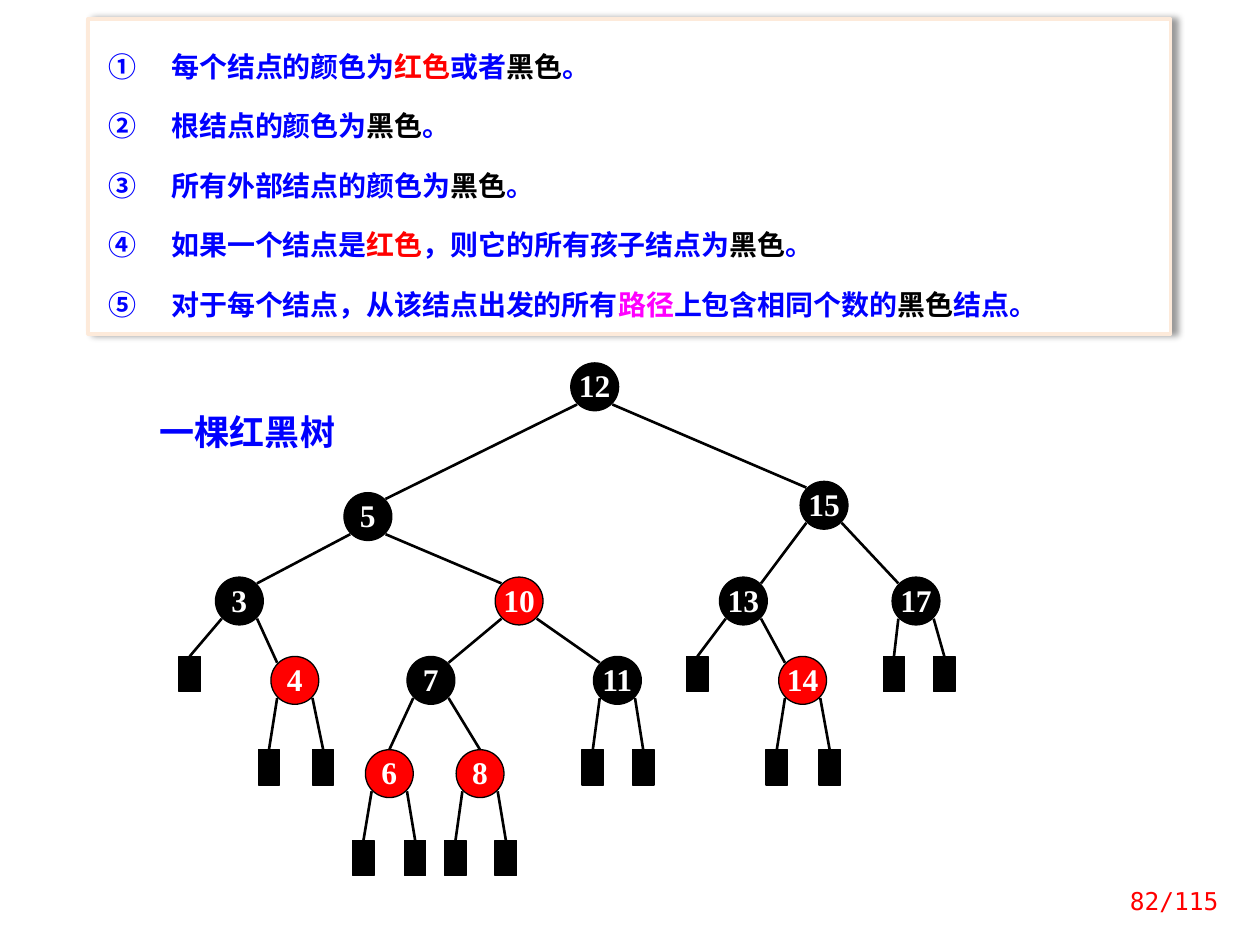
from typing import NamedTuple, Optional

from lxml.etree import SubElement
from pptx import Presentation
from pptx.dml.color import RGBColor
from pptx.enum.shapes import MSO_CONNECTOR as CONN, MSO_SHAPE as SHAPE
from pptx.enum.text import MSO_ANCHOR as ANCHOR, MSO_AUTO_SIZE as AUTO, PP_ALIGN as ALIGN
from pptx.oxml.ns import qn
from pptx.util import Inches, Pt

BLACK, RED, BLUE, PINK, WHITE = "000000", "FF0000", "0000FF", "FF00FF", "FFFFFF"
NODE, LEAF_W, LEAF_H = 0.38, 0.17, 0.28
NEAR, FAR = 0.05, 0.33


class Node(NamedTuple):
    key: int
    left: float
    top: float
    color: str = BLACK
    parent: Optional[int] = None
    centered: bool = False


class Leaf(NamedTuple):
    left: float
    top: float
    parent: int


NODES = [
    Node(12, 4.53, 2.88),
    Node(5, 2.73, 3.91, BLACK, 12),
    Node(3, 1.71, 4.58, BLACK, 5),
    Node(4, 2.15, 5.21, RED, 3),
    Node(10, 3.93, 4.58, RED, 5),
    Node(7, 3.23, 5.21, BLACK, 10),
    Node(6, 2.9, 5.95, RED, 7, True),
    Node(8, 3.62, 5.95, RED, 7, True),
    Node(11, 4.71, 5.21, BLACK, 10),
    Node(15, 6.35, 3.82, BLACK, 12),
    Node(13, 5.71, 4.58, BLACK, 15),
    Node(14, 6.18, 5.21, RED, 13),
    Node(17, 7.08, 4.58, BLACK, 15),
]
LEAVES = [
    Leaf(1.42, 5.21, 3), Leaf(2.05, 5.95, 4), Leaf(2.48, 5.95, 4),
    Leaf(2.8, 6.67, 6), Leaf(3.21, 6.67, 6), Leaf(3.53, 6.67, 8),
    Leaf(3.93, 6.67, 8), Leaf(4.62, 5.95, 11), Leaf(5.02, 5.95, 11),
    Leaf(6.08, 5.95, 14), Leaf(6.5, 5.95, 14), Leaf(7.01, 5.21, 17),
    Leaf(7.41, 5.21, 17), Leaf(5.45, 5.21, 13),
]
RULES = [
    [("每个结点的颜色为", BLUE), ("红色", RED), ("或者", BLUE), ("黑色", BLACK), ("。", BLUE)],
    [("根结点的颜色为", BLUE), ("黑色", BLACK), ("。", BLUE)],
    [("所有外部结点的颜色为", BLUE), ("黑色", BLACK), ("。", BLUE)],
    [("如果一个结点是", BLUE), ("红色", RED), ("，则它的所有孩子结点为", BLUE),
     ("黑色", BLACK), ("。", BLUE)],
    [("对于每个结点，从该结点出发的所有", BLUE), ("路径", PINK),
     ("上包含相同个数的", BLUE), ("黑色", BLACK), ("结点。", BLUE)],
]
NODE_FONT = {"name": "Times New Roman", "size": Pt(18), "bold": True}
RULE_FONT = {"name": "Calibri", "size": Pt(16), "bold": True}
TITLE_FONT = {"name": "Noto Sans CJK SC", "size": Pt(20), "bold": True}
PAGE_FONT = {"name": "DejaVu Sans Mono", "size": Pt(14), "bold": False}


def rgb(value: str) -> RGBColor:
    return RGBColor.from_string(value)


def assign(target, values: dict) -> None:
    for name, value in values.items():
        setattr(target, name, value)


def add_run(p, text: str, color: str, font: dict) -> None:
    r = p.add_run()
    r.text = text
    assign(r.font, font)
    r.font.color.rgb = rgb(color)


def add_box(slide, kind, left: float, top: float, width: float, height: float,
            fill: str, line: str, weight: float):
    sp = slide.shapes.add_shape(kind, Inches(left), Inches(top), Inches(width), Inches(height))
    sp.shadow.inherit = False
    sp.fill.solid()
    sp.fill.fore_color.rgb = rgb(fill)
    sp.line.color.rgb = rgb(line)
    sp.line.width = Pt(weight)
    return sp


def add_text(slide, left: float, top: float, width: float, height: float,
             text: str, color: str, font: dict, frame: dict, para: dict) -> None:
    sp = slide.shapes.add_textbox(Inches(left), Inches(top), Inches(width), Inches(height))
    assign(sp.text_frame, {"word_wrap": True, **frame})
    p = sp.text_frame.paragraphs[0]
    assign(p, para)
    add_run(p, text, color, font)


def add_node(slide, node: Node) -> None:
    sp = add_box(slide, SHAPE.OVAL, node.left, node.top, NODE, NODE, node.color, BLACK, 0.75)
    tf = sp.text_frame
    assign(tf, {"margin_left": 0, "margin_top": 0, "margin_right": 0, "margin_bottom": 0,
                "word_wrap": False})
    p = tf.paragraphs[0]
    assign(p, {"alignment": ALIGN.CENTER, "line_spacing": Pt(20)})
    add_run(p, str(node.key), WHITE, NODE_FONT)


def add_edge(slide, parent: Node, end_x: float, end_y: float) -> None:
    start_x = parent.left + (NEAR if end_x < parent.left + NODE / 2 else FAR)
    line = slide.shapes.add_connector(CONN.STRAIGHT, Inches(start_x), Inches(parent.top + FAR),
                                      Inches(end_x), Inches(end_y))
    line.line.color.rgb = rgb(BLACK)
    line.line.width = Pt(1.5)
    SubElement(line.element.spPr, qn("a:effectLst"))


def add_tree(slide) -> None:
    by_key = {node.key: node for node in NODES}
    for node in NODES:
        add_node(slide, node)
    for node in NODES:
        if node.parent is None:
            continue
        parent = by_key[node.parent]
        if node.centered:
            add_edge(slide, parent, node.left + NODE / 2, node.top)
        else:
            side = FAR if node.left < parent.left else NEAR
            add_edge(slide, parent, node.left + side, node.top + NEAR)
    for leaf in LEAVES:
        add_box(slide, SHAPE.RECTANGLE, leaf.left, leaf.top, LEAF_W, LEAF_H, BLACK, BLACK, 0.75)
        add_edge(slide, by_key[leaf.parent], leaf.left + LEAF_W / 2, leaf.top)


def add_shadow(sp) -> None:
    effects = sp.element.spPr.find(qn("a:effectLst"))
    shadow = SubElement(effects, qn("a:outerShdw"), blurRad=str(Pt(4)), dist=str(Pt(3)),
                        dir="0", algn="l", rotWithShape="0")
    color = SubElement(shadow, qn("a:srgbClr"), val=BLACK)
    SubElement(color, qn("a:alpha"), val="40000")


def add_rules(slide) -> None:
    sp = add_box(slide, SHAPE.RECTANGLE, 0.7, 0.15, 8.59, 2.5, WHITE, "FDEADA", 2)
    add_shadow(sp)
    tf = sp.text_frame
    assign(tf, {"margin_left": Inches(0.16), "margin_top": Inches(0.12),
                "margin_right": Inches(0.1), "margin_bottom": Inches(0.12),
                "word_wrap": True, "vertical_anchor": ANCHOR.TOP,
                "auto_size": AUTO.SHAPE_TO_FIT_TEXT})
    for i, parts in enumerate(RULES):
        p = tf.add_paragraph() if i else tf.paragraphs[0]
        assign(p, {"alignment": ALIGN.LEFT, "line_spacing": Pt(28),
                   "space_before": Pt(6 if i else 0)})
        pPr = p._p.get_or_add_pPr()
        pPr.set("marL", str(Inches(0.5)))
        pPr.set("indent", str(Inches(-0.5)))
        SubElement(pPr, qn("a:buFont"), typeface="+mj-lt")
        SubElement(pPr, qn("a:buAutoNum"), type="circleNumDbPlain")
        for text, color in parts:
            add_run(p, text, color, RULE_FONT)


def main() -> None:
    prs = Presentation()
    assign(prs, {"slide_width": Inches(10), "slide_height": Inches(7.5)})
    slide = prs.slides.add_slide(prs.slide_layouts[6])
    add_text(slide, 1.17, 3.27, 1.72, 0.37, "一棵红黑树", BLUE, TITLE_FONT,
             {"auto_size": AUTO.SHAPE_TO_FIT_TEXT}, {"line_spacing": 0.8})
    add_tree(slide)
    add_text(slide, 8.63, 6.95, 1.14, 0.4, "82/115", RED, PAGE_FONT,
             {"vertical_anchor": ANCHOR.MIDDLE}, {"alignment": ALIGN.RIGHT})
    add_rules(slide)
    prs.save("out.pptx")


if __name__ == "__main__":
    main()
